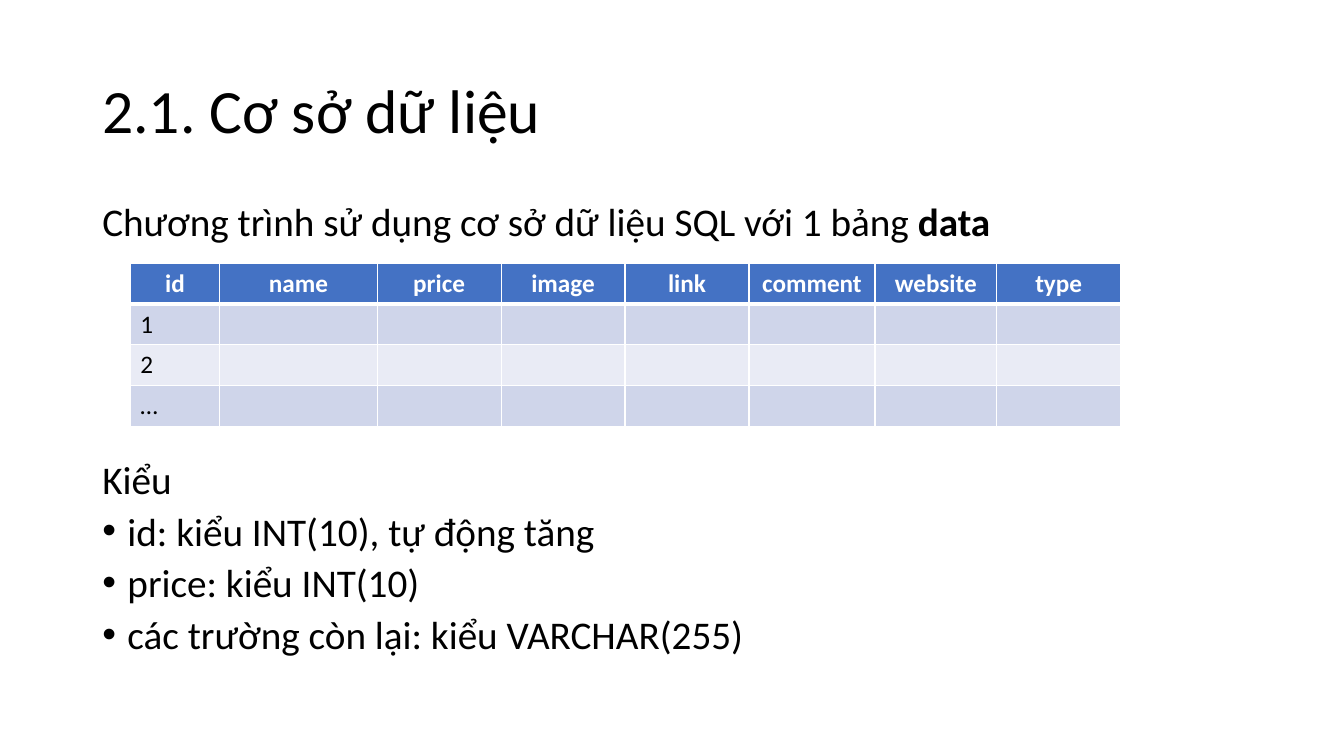
"""Build a slide that describes a database table and its column types."""
import lxml.etree
import pptx
import pptx.dml.color
import pptx.enum.text
import pptx.oxml.ns
import pptx.util

Pt = pptx.util.Pt
qn = pptx.oxml.ns.qn

COLOURS = {
    "text": "000000",
    "line": "FFFFFF",
    "header": "4472C4",
    "header text": "FFFFFF",
    "odd row": "CFD5EA",
    "even row": "E9EBF5",
}
FONT = "Calibri"
BODY_PITCH = 36.9
INDENT = 18
COLUMNS = {
    "id": 64, "name": 112.5, "price": 88.5, "image": 88.5,
    "link": 88.5, "comment": 90, "website": 87, "type": 88.5,
}
ROW_LABELS = ["1", "2", "…"]
ROW_HEIGHT = 29.2


def rgb(name):
    """Return the named colour."""
    return pptx.dml.color.RGBColor.from_string(COLOURS[name])


def format_span(span, size, colour="text", bold=False):
    """Set the font of one run."""
    span.font.name = FONT
    span.font.size = Pt(size)
    span.font.bold = bold
    span.font.color.rgb = rgb(colour)


def add_bullet(para):
    """Give a paragraph a hanging round bullet."""
    properties = para._p.get_or_add_pPr()
    properties.set("marL", str(Pt(INDENT)))
    properties.set("indent", str(-Pt(INDENT)))
    lxml.etree.SubElement(properties, qn("a:buFont")).set("typeface", "Arial")
    lxml.etree.SubElement(properties, qn("a:buChar")).set("char", "•")


def add_text_frame(page, left, top, width, height):
    """Add a wrapping text box and return its frame."""
    frame = page.shapes.add_textbox(Pt(left), Pt(top), Pt(width), Pt(height)).text_frame
    frame.word_wrap = True
    return frame


def add_title(page, left, top, width, height):
    """Add the vertically centred slide title."""
    frame = add_text_frame(page, left, top, width, height)
    frame.vertical_anchor = pptx.enum.text.MSO_ANCHOR.MIDDLE
    frame.text = "2.1. Cơ sở dữ liệu"
    para = frame.paragraphs[0]
    para.line_spacing = 0.9
    format_span(para.runs[0], 44)


def add_body(page, left, top, width, height, lines):
    """Add body lines, each given as a bullet flag, plain words and bold words."""
    frame = add_text_frame(page, left, top, width, height)
    for index, (bulleted, plain, strong) in enumerate(lines):
        para = frame.add_paragraph() if index else frame.paragraphs[0]
        para.line_spacing = 0.8
        para.space_before = Pt(10)
        if bulleted:
            add_bullet(para)
        for words, bold in ((plain, False), (strong, True)):
            if words:
                span = para.add_run()
                span.text = words
                format_span(span, 28, bold=bold)


def add_borders(cell, top, bottom):
    """Draw the four cell borders with the given top and bottom widths."""
    properties = cell._tc.get_or_add_tcPr()
    for side, width in (("L", 1), ("R", 1), ("T", top), ("B", bottom)):
        line = lxml.etree.SubElement(properties, qn("a:ln" + side))
        line.set("w", str(Pt(width)))
        fill = lxml.etree.SubElement(line, qn("a:solidFill"))
        lxml.etree.SubElement(fill, qn("a:srgbClr")).set("val", COLOURS["line"])


def style_cell(cell, row):
    """Fill, border and format a cell according to its row."""
    is_header = row == 0
    add_borders(cell, top=3 if row == 1 else 1, bottom=3 if is_header else 1)
    cell.fill.solid()
    cell.fill.fore_color.rgb = rgb(
        "header" if is_header else "odd row" if row % 2 else "even row")
    para = cell.text_frame.paragraphs[0]
    if is_header:
        para.alignment = pptx.enum.text.PP_ALIGN.CENTER
    for span in para.runs:
        format_span(span, 18, "header text" if is_header else "text", is_header)


def add_data_table(page, left, top):
    """Add the table of columns with its numbered rows."""
    rows = [list(COLUMNS)]
    rows += [[label] + [""] * (len(COLUMNS) - 1) for label in ROW_LABELS]
    table = page.shapes.add_table(
        len(rows), len(COLUMNS), Pt(left), Pt(top),
        Pt(sum(COLUMNS.values())), Pt(ROW_HEIGHT * len(rows))).table
    for column, width in zip(table.columns, COLUMNS.values()):
        column.width = Pt(width)
    for row, words in enumerate(rows):
        table.rows[row].height = Pt(ROW_HEIGHT)
        for column, word in enumerate(words):
            cell = table.cell(row, column)
            if word:
                cell.text_frame.text = word
            style_cell(cell, row)


def build_page(page, left, top, width):
    """Place the title, introduction, table and type list from a corner."""
    body_top = top + 115
    types_top = body_top + 5 * BODY_PITCH
    add_title(page, left, top, width, 104.4)
    add_body(page, left, body_top, width, BODY_PITCH, [
        (False, "Chương trình sử dụng cơ sở dữ liệu SQL với 1 bảng ", "data"),
    ])
    add_data_table(page, left + 27, top + 159.2)
    add_body(page, left, types_top, width, 4 * BODY_PITCH, [
        (False, "Kiểu", ""),
        (True, "id: kiểu INT(10), tự động tăng", ""),
        (True, "price: kiểu INT(10)", ""),
        (True, "các trường còn lại: kiểu VARCHAR(255)", ""),
    ])


def main():
    """Create and save the deck."""
    deck = pptx.Presentation()
    deck.slide_width, deck.slide_height = Pt(960), Pt(540)
    page = deck.slides.add_slide(deck.slide_layouts[6])
    build_page(page, 66, 28.75, 828)
    deck.save("out.pptx")


if __name__ == "__main__":
    main()
